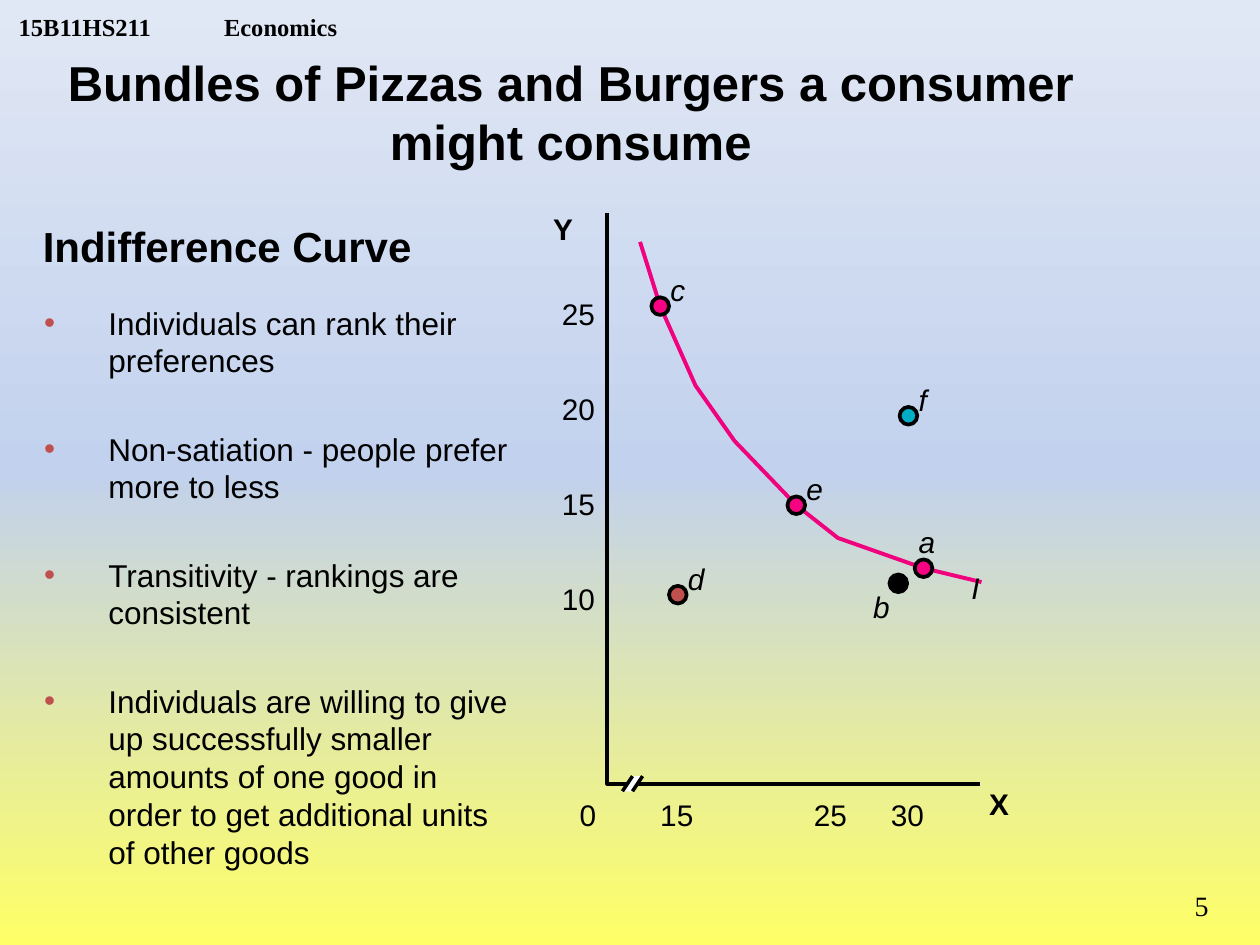
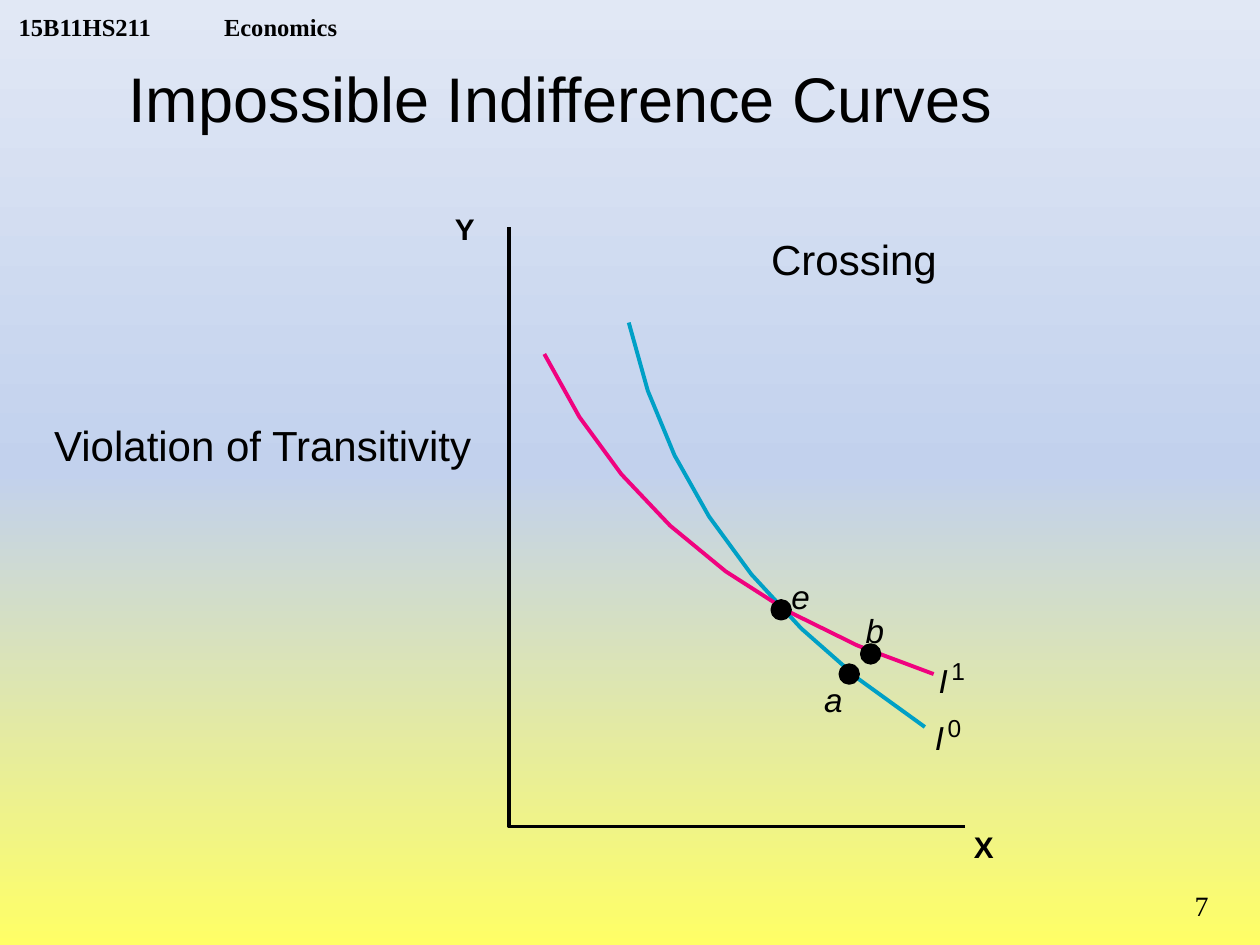
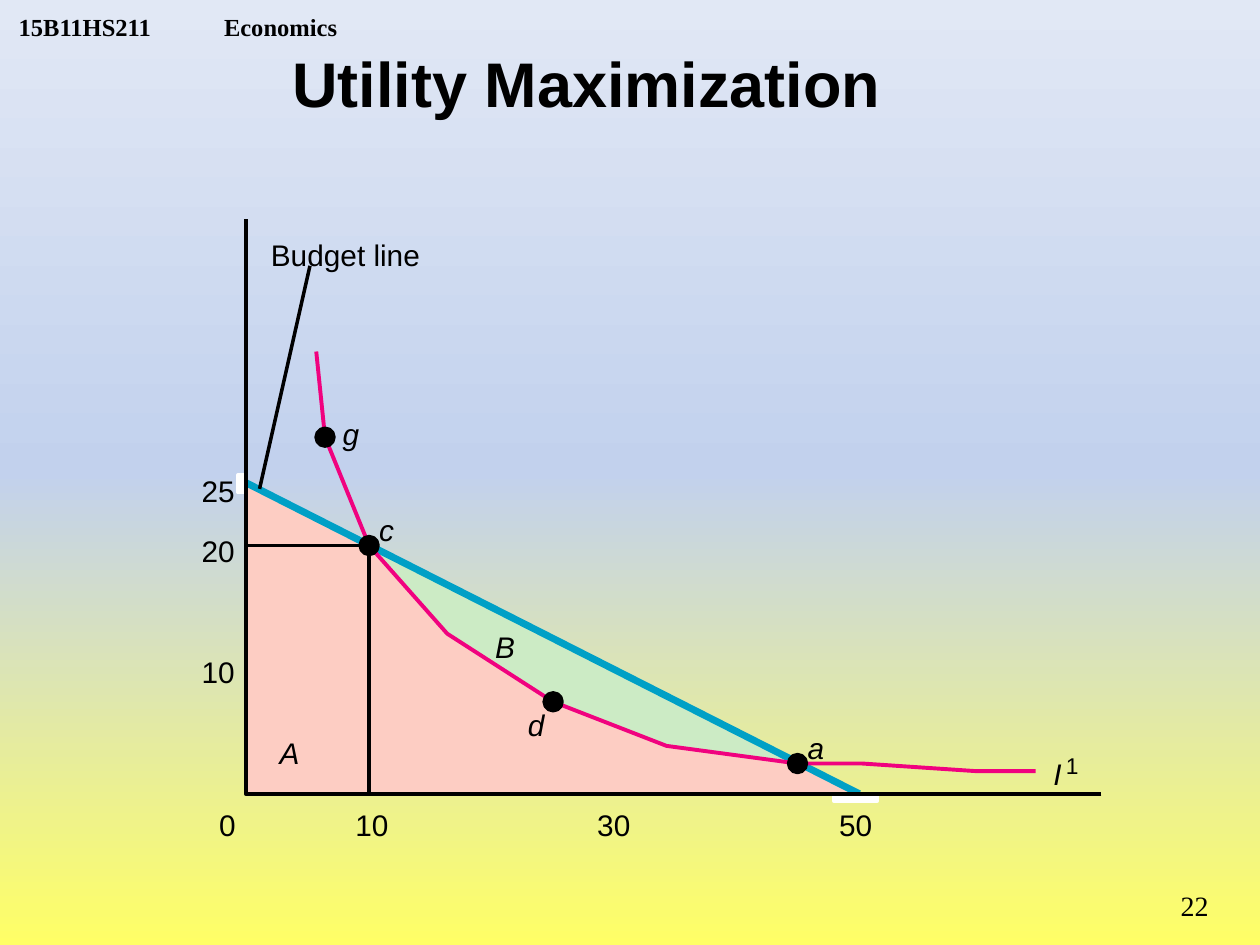
from pptx import Presentation
from pptx import util as u
from pptx.dml.color import RGBColor
from pptx.enum import shapes, text
from pptx.oxml import parse_xml
from pptx.oxml.ns import nsdecls

COLORS = {
    "black": "000000", "white": "FFFFFF", "pink": "F0027F", "dot": "F60282",
    "teal": "00A0C6", "cyan": "01AEC5", "red": "C0504D", "rose": "FDCDC3",
    "mint": "CCEBC5", "low": "FFFF66", "mid": "C2D1ED", "high": "E1E8F5",
}
SANS, SERIF = "Arial", "Times New Roman"
HEADER_BOX = (0.05, 0, 3.2, 0.33)
NUMBER_BOX = (8.92, 7, 0.77, 0.4)
BODY_BOX = (0.25, 2.36, 3.92, 4.39)
INDENT = 0.51
TICK_SIZE = 17
DOT_SIZE = 0.14
LETTER_SHIFT = {"right": (0.08, -0.27), "beside": (0.14, -0.17),
                "above": (-0.04, -0.35), "below": (-0.2, 0.04)}

SLIDES = [
    {
        "number": "5",
        "title": ("Bundles of Pizzas and Burgers a consumer might consume",
                  (0, 0.37, 9.06, 1.04), 28, True, True),
        "body": [
            "Individuals can rank their preferences",
            "Non-satiation - people prefer more to less",
            "Transitivity - rankings are consistent",
            "Individuals are willing to give up successfully smaller amounts "
            "of one good in order to get additional units of other goods",
        ],
        "captions": [("Indifference Curve", 0.34, 1.75, 2.93, 24, True)],
        "axes": (4.82, 6.22, 7.78, 1.69),
        "axis_names": True,
        "axis_break": True,
        "x_ticks": (3.41, 0.122, 6.32, [15, 25, 30]),
        "y_ticks": (6.12, -0.151, 4.46, [25, 20, 15, 10]),
        "zero_x": 4.6,
        "curves": [("pink", [(5.08, 1.92), (5.24, 2.43), (5.52, 3.06), (5.83, 3.5),
                             (6.32, 4.01), (6.65, 4.27), (7.33, 4.51), (7.79, 4.62)],
                    (7.71, 4.52), "")],
        "curve_dots": [("c", 1, "dot", "right"), ("e", 4, "dot", "right"),
                       ("a", 6, "dot", "above")],
        "free_dots": [("d", (5.38, 4.72), "red", "right"),
                      ("b", (7.13, 4.63), "black", "below"),
                      ("f", (7.21, 3.3), "cyan", "right")],
        "letter_size": 17,
    },
    {
        "number": "7",
        "title": ("Impossible Indifference Curves",
                  (0.92, 0.42, 7.12, 0.71), 36, False, False),
        "captions": [("Crossing", 6.12, 1.85, 1.63, 24, False),
                     ("Violation of Transitivity", 0.43, 3.33, 3.35, 24, False)],
        "axes": (4.04, 6.56, 7.66, 1.8),
        "axis_names": True,
        "bend": True,
        "curves": [
            ("teal", [(4.99, 2.56), (5.41, 4.5), (7.34, 5.77)], (7.42, 5.69), "0"),
            ("pink", [(4.32, 2.81), (5.2, 4.64), (7.41, 5.35)], (7.45, 5.24), "1"),
        ],
        "free_dots": [("a", (6.74, 5.35), "black", "below"),
                      ("b", (6.91, 5.19), "black", "above"),
                      ("e", (6.2, 4.84), "black", "right")],
        "letter_size": 19,
    },
    {
        "number": "22",
        "title": ("Utility Maximization", (2.22, 0.3, 4.87, 0.7), 36, True, False),
        "captions": [("Budget line", 2.15, 1.88, 1.19, 17, False)],
        "axes": (1.95, 6.3, 8.74, 1.74),
        "x_ticks": (1.86, 0.096, 6.4, [10, 30, 50]),
        "y_ticks": (6.15, -0.096, 1.6, [25, 20, 10]),
        "zero_x": 1.74,
        "budget": {"top": 3.83, "right": 6.82, "pointer": [(2.46, 2.11), (2.06, 3.88)],
                   "tangle": (2, 6),
                   "masks": [(1.89, 3.77, 0.06, 0.14), (6.62, 6.3, 0.34, 0.06)]},
        "curves": [("pink", [(2.51, 2.79), (2.58, 3.47), (2.93, 4.33), (3.55, 5.03),
                             (4.39, 5.57), (5.29, 5.92), (6.33, 6.06), (6.84, 6.06),
                             (7.74, 6.12), (8.22, 6.12)], (8.36, 6), "1")],
        "curve_dots": [("g", 1, "black", "beside"), ("c", 2, "black", "right"),
                       ("d", 4, "black", "below"), ("a", 6, "black", "right")],
        "areas": [("A", 2.22, 5.83), ("B", 3.93, 4.99)],
        "letter_size": 17,
    },
]


def rgb(name):
    return RGBColor.from_string(COLORS[name])


def inches(values):
    return [u.Inches(v) for v in values]


def shift(point, dx, dy):
    return point[0] + dx, point[1] + dy


def bend(start, control, end, steps=7):
    shares = [i / steps for i in range(steps + 1)]
    return [tuple((1 - t) ** 2 * a + 2 * t * (1 - t) * b + t ** 2 * c
                  for a, b, c in zip(start, control, end)) for t in shares]


def add_run(p, words, size, font=SANS, bold=False, italic=False):
    r = p.add_run()
    r.text = words
    r.font.name, r.font.size = font, u.Pt(size)
    r.font.bold, r.font.italic = bold, italic
    r.font.color.rgb = rgb("black")


def paint(sp, fill=None, line=None, weight=2.13):
    sp.shadow.inherit = False
    if fill:
        sp.fill.solid()
        sp.fill.fore_color.rgb = rgb(fill)
    else:
        sp.fill.background()
    if line:
        sp.line.color.rgb = rgb(line)
        sp.line.width = u.Pt(weight)
    else:
        sp.line.fill.background()


def add_outline(s, points, closed=False, **look):
    start, *rest = [inches(point) for point in points]
    builder = s.shapes.build_freeform(*start)
    builder.add_line_segments(rest, close=closed)
    paint(builder.convert_to_shape(), **look)


def add_line(s, start, end, color="black", weight=2):
    line = s.shapes.add_connector(shapes.MSO_CONNECTOR.STRAIGHT, *inches(start + end))
    line.line.color.rgb = rgb(color)
    line.line.width = u.Pt(weight)
    line.element.spPr.append(parse_xml(f"<a:effectLst {nsdecls('a')}/>"))


def add_label(s, words, x, y, size=TICK_SIZE, width=None, **style):
    width = width or len(words) * size * 0.67 / 72
    sp = s.shapes.add_textbox(*inches((x, y, width, size * 1.2 / 72)))
    tf = sp.text_frame
    tf.margin_left = tf.margin_right = tf.margin_top = tf.margin_bottom = 0
    tf.word_wrap = False
    tf.auto_size = text.MSO_AUTO_SIZE.SHAPE_TO_FIT_TEXT
    add_run(tf.paragraphs[0], words, size, **style)


def set_background(master):
    stops = "".join(f'<a:gs pos="{i * 50000}"><a:srgbClr val="{COLORS[name]}"/></a:gs>'
                    for i, name in enumerate(("low", "mid", "high")))
    c_sld = master.element.cSld
    for old in c_sld.findall("{*}bg"):
        c_sld.remove(old)
    c_sld.insert(0, parse_xml(
        f"<p:bg {nsdecls('p', 'a')}><p:bgPr><a:gradFill><a:gsLst>{stops}</a:gsLst>"
        '<a:lin ang="16200000" scaled="0"/></a:gradFill><a:effectLst/></p:bgPr></p:bg>'))


def add_header(s, master):
    sp = s.shapes.add_textbox(*inches(HEADER_BOX))
    tf = sp.text_frame
    tf.word_wrap = True
    tf.margin_top = tf.margin_bottom = 0
    tf.vertical_anchor = text.MSO_ANCHOR.BOTTOM
    p = tf.paragraphs[0]
    p._p.get_or_add_pPr().append(parse_xml(
        f'<a:tabLst {nsdecls("a")}><a:tab pos="{u.Inches(1.63)}" algn="l"/></a:tabLst>'))
    add_run(p, "15B11HS211\tEconomics", 14, SERIF, bold=True)
    sp.element.nvSpPr.cNvPr.set("id", "99")
    master.shapes.element.append(sp.element)


def add_number(s, number):
    p = s.shapes.add_textbox(*inches(NUMBER_BOX)).text_frame.paragraphs[0]
    p.alignment = text.PP_ALIGN.RIGHT
    add_run(p, number, 16, SERIF)


def place(sp, box):
    sp.left, sp.top, sp.width, sp.height = inches(box)


def fill_title(sp, words, box, size, bold, wrap):
    place(sp, box)
    tf = sp.text_frame
    tf.word_wrap = wrap
    tf.auto_size = text.MSO_AUTO_SIZE.SHAPE_TO_FIT_TEXT
    tf.vertical_anchor = text.MSO_ANCHOR.TOP
    p = tf.paragraphs[0]
    p.alignment = text.PP_ALIGN.CENTER if wrap else text.PP_ALIGN.LEFT
    add_run(p, words, size, bold=bold)


def fill_body(sp, bullets):
    place(sp, BODY_BOX)
    tf = sp.text_frame
    tf.auto_size = text.MSO_AUTO_SIZE.NONE
    for i, words in enumerate(bullets):
        p = tf.add_paragraph() if i else tf.paragraphs[0]
        p.space_before = u.Pt(28.8 if i else 0)
        pPr = p._p.get_or_add_pPr()
        pPr.set("marL", str(u.Inches(INDENT)))
        pPr.set("indent", str(-u.Inches(INDENT)))
        pPr.append(parse_xml(f'<a:buClr {nsdecls("a")}>'
                             f'<a:srgbClr val="{COLORS["red"]}"/></a:buClr>'))
        pPr.append(parse_xml(f'<a:buChar {nsdecls("a")} char="•"/>'))
        add_run(p, words, 18)


def draw_budget(s, budget, origin, curve):
    first, last = budget["tangle"]
    crossing = curve[first]
    top, right = (origin[0], budget["top"]), (budget["right"], origin[1])
    add_outline(s, [top, origin, right], closed=True, fill="rose")
    add_outline(s, curve[first:last + 1], closed=True, fill="mint")
    add_line(s, top, right, "teal", 4)
    add_line(s, (origin[0], crossing[1]), crossing)
    add_line(s, (crossing[0], origin[1]), crossing)
    add_line(s, *budget["pointer"])
    for box in budget["masks"]:
        paint(s.shapes.add_shape(shapes.MSO_SHAPE.RECTANGLE, *inches(box)),
              fill="white", line="white")


def draw_axis_break(s, origin):
    bottoms = [shift(origin, dx, 0.06) for dx in (0.12, 0.2)]
    tops = [shift(point, 0.08, -0.12) for point in bottoms]
    add_outline(s, bottoms + tops[::-1], closed=True, fill="white")
    for bottom, top in zip(bottoms, tops):
        add_line(s, bottom, top)


def draw_dot(s, letter, center, color, side, size):
    corner = shift(center, -DOT_SIZE / 2, -DOT_SIZE / 2)
    paint(s.shapes.add_shape(shapes.MSO_SHAPE.OVAL, *inches(corner + (DOT_SIZE,) * 2)),
          fill=color, line="black")
    add_label(s, letter, *shift(center, *LETTER_SHIFT[side]), size, italic=True)


def draw_graph(s, d):
    x, y, right, top = d["axes"]
    origin, size = (x, y), d["letter_size"]
    main_curve = d["curves"][0][1]
    if "budget" in d:
        draw_budget(s, d["budget"], origin, main_curve)
    for color, points, name_at, power in d["curves"]:
        add_outline(s, bend(*points) if "bend" in d else points, line=color, weight=2.25)
        add_label(s, "I", *name_at, size, italic=True)
        if power:
            add_label(s, power, *shift(name_at, 0.1, -0.03), round(size * 0.75))
    add_outline(s, [(right, y), origin, (x, top)], line="black")
    if "axis_break" in d:
        draw_axis_break(s, origin)
    if "axis_names" in d:
        add_label(s, "Y", x - 0.43, 1.67, bold=True)
        add_label(s, "X", right + 0.07, y + 0.02, bold=True)
    for letter, i, color, side in d.get("curve_dots", []):
        draw_dot(s, letter, main_curve[i], color, side, size)
    for dot in d.get("free_dots", []):
        draw_dot(s, *dot, size)
    for letter, left, upper in d.get("areas", []):
        add_label(s, letter, left, upper, size, italic=True)


def label_ticks(s, d):
    start, step, row, values = d["x_ticks"]
    add_label(s, "0", d["zero_x"], row)
    for value in values:
        add_label(s, str(value), start + step * value, row)
    start, step, column, values = d["y_ticks"]
    for value in values:
        add_label(s, str(value), column, start + step * value)


def main():
    prs = Presentation()
    prs.slide_width, prs.slide_height = inches((10, 7.5))
    master = prs.slide_master
    set_background(master)
    for i, d in enumerate(SLIDES):
        s = prs.slides.add_slide(prs.slide_layouts[1 if "body" in d else 5])
        if i == 0:
            add_header(s, master)
        fill_title(s.shapes.title, *d["title"])
        draw_graph(s, d)
        if "x_ticks" in d:
            label_ticks(s, d)
        for words, x, y, width, size, bold in d["captions"]:
            add_label(s, words, x, y, size, width, bold=bold)
        if "body" in d:
            fill_body(s.placeholders[1], d["body"])
        add_number(s, d["number"])
    prs.save("out.pptx")


if __name__ == "__main__":
    main()
